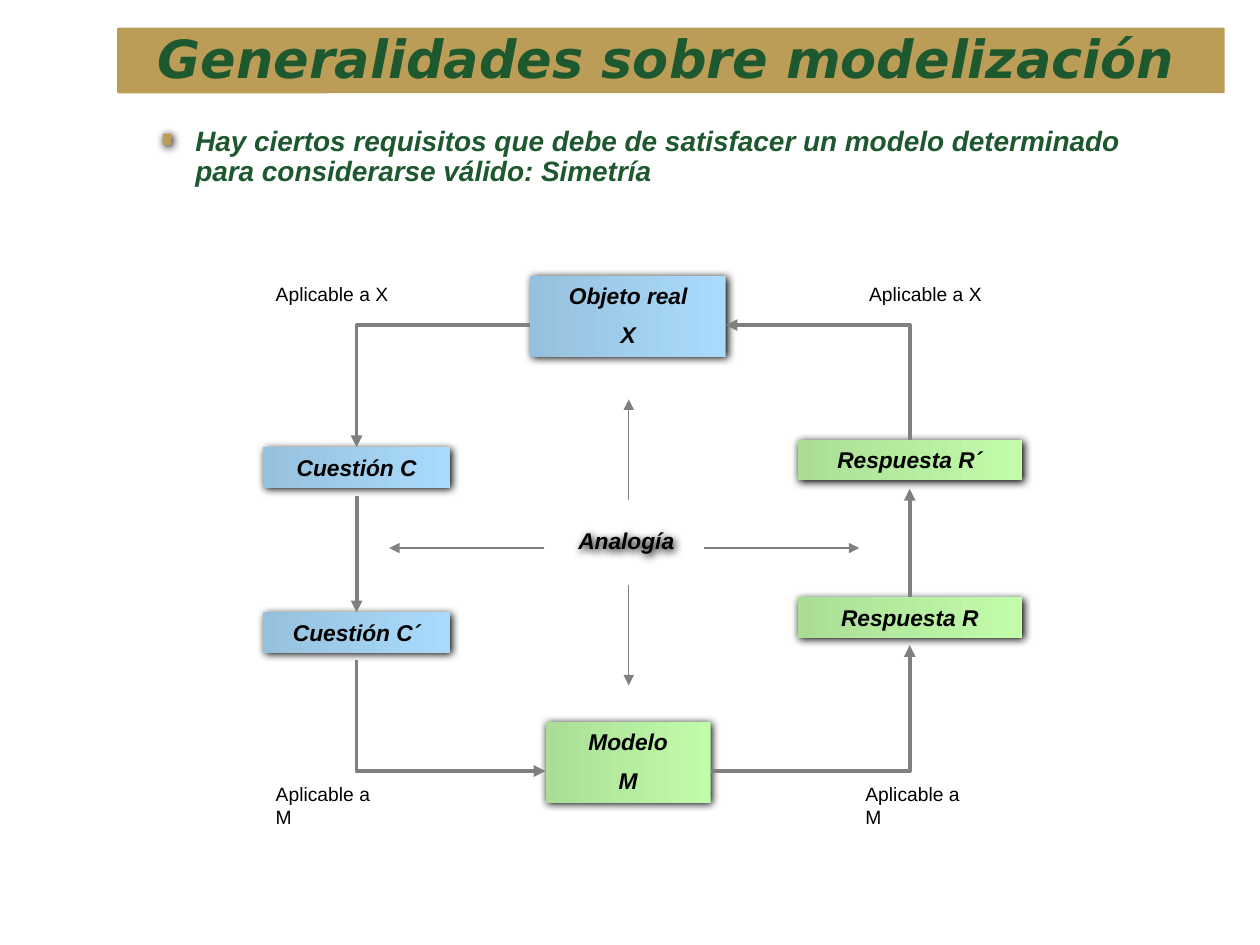
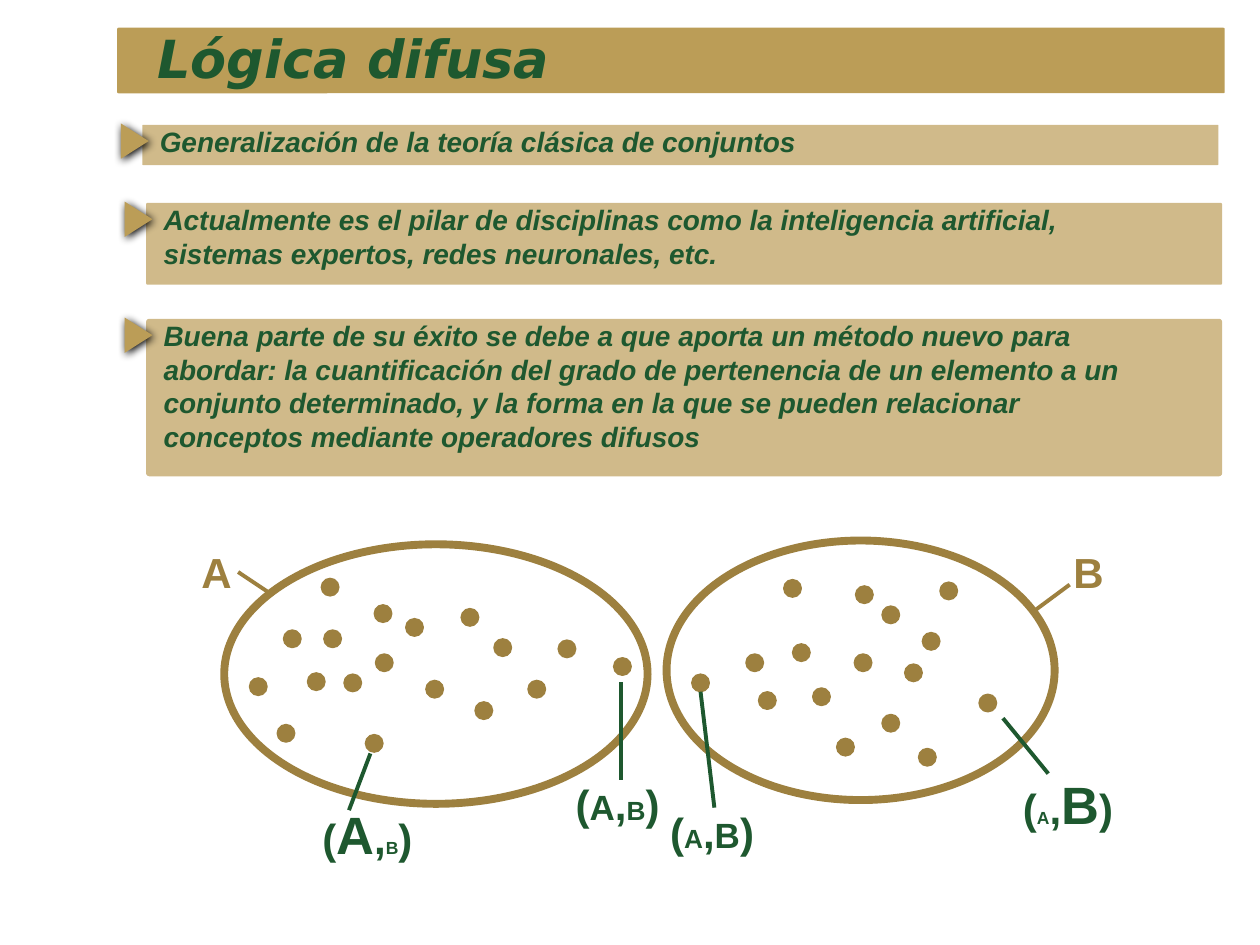
from lxml.etree import SubElement
from pptx import Presentation
from pptx.dml.color import RGBColor
from pptx.enum.shapes import MSO_CONNECTOR, MSO_SHAPE
from pptx.enum.text import MSO_ANCHOR, MSO_AUTO_SIZE, PP_ALIGN
from pptx.oxml.ns import qn
from pptx.util import Inches, Pt

GREEN, GOLD, SAND, BRONZE = "1E582F", "BB9D57", "D0BA8A", "9D803F"
GRAY, BLACK = "808080", "000000"
BLUES, LIMES = ("AADBFC", "96C1DE"), ("C1FCAA", "AADE96")

REQUIREMENT = ("Hay ciertos requisitos que debe de satisfacer un modelo determinado "
               "para considerarse válido: Simetría")
NODES = {
    "object": (["Objeto real", "X"], (4.21, 2.19, 1.55, 0.64), BLUES),
    "model": (["Modelo", "M"], (4.33, 5.73, 1.31, 0.64), LIMES),
    "question": (["Cuestión C"], (2.09, 3.55, 1.48, 0.32), BLUES),
    "question_m": (["Cuestión C´"], (2.09, 4.86, 1.48, 0.32), BLUES),
    "answer_x": (["Respuesta R´"], (6.33, 3.49, 1.78, 0.32), LIMES),
    "answer": (["Respuesta R"], (6.33, 4.74, 1.78, 0.32), LIMES),
}
APPLICABLE = [("Aplicable a X", 2.09, 2.19), ("Aplicable a X", 6.8, 2.19),
              ("Aplicable a M", 2.09, 6.16), ("Aplicable a M", 6.77, 6.16)]
ELBOWS = [((4.21, 2.58), (2.83, 3.55), "tailEnd"), ((5.76, 2.58), (7.22, 3.49), "headEnd"),
          ((4.33, 6.12), (2.83, 5.24), "headEnd"), ((5.64, 6.12), (7.22, 5.12), "tailEnd")]
ANALOGY_ARROWS = [((4.32, 4.35), (3.09, 4.35)), ((5.59, 4.35), (6.82, 4.35)),
                  ((4.99, 3.97), (4.99, 3.17)), ((4.99, 4.64), (4.99, 5.44))]

POINTS = [
    ("Generalización de la teoría clásica de conjuntos", 1.13, 0.99, 0.32),
    ("Actualmente es el pilar de disciplinas como la inteligencia artificial, "
     "sistemas expertos, redes neuronales, etc.", 1.16, 1.61, 0.65),
    ("Buena parte de su éxito se debe a que aporta un método nuevo para abordar: "
     "la cuantificación del grado de pertenencia de un elemento a un conjunto determinado, "
     "y la forma en la que se pueden relacionar conceptos mediante operadores difusos",
     1.16, 2.53, 1.25),
]
SETS = [
    ("A", (1.5, 4.29), (1.78, 4.32, 3.36, 2.06), ((1.89, 4.54), (2.13, 4.7)),
     [(3.22, 4.91), (2.73, 5.35), (3.38, 5.4), (2.98, 5.19), (2.55, 4.59), (2.25, 5),
      (2.97, 4.8), (2.57, 5), (2.44, 5.34), (1.98, 5.38), (2.9, 5.83), (2.2, 5.75),
      (3.92, 5.07), (4.19, 5.4), (3.77, 5.57), (3.66, 4.83), (4.87, 5.22), (4.43, 5.08)]),
    ("B", (8.42, 4.29), (5.29, 4.29, 3.08, 2.06), ((8.49, 4.64), (8.22, 4.84)),
     [(7.32, 5.02), (7, 5.67), (7.77, 5.51), (7.18, 5.27), (6.79, 4.65), (6.45, 5.46),
      (7.46, 4.62), (7, 4.81), (6.78, 5.19), (6.29, 5.11), (7.29, 5.94), (6.64, 5.86),
      (5.92, 5.19), (6.22, 4.6), (6.02, 5.49), (5.49, 5.35)]),
]
DEGREES = [
    (30, 10, (2.46, 6.32, 0.92, 0.6), ((2.77, 6.43), (2.94, 5.98))),
    (20, 15, (4.47, 6.13, 0.87, 0.5), ((4.93, 6.19), (4.93, 5.41))),
    (15, 20, (5.22, 6.35, 0.87, 0.5), ((5.67, 6.41), (5.56, 5.49))),
    (10, 30, (8.02, 6.08, 1.11, 0.6), ((8.32, 6.14), (7.96, 5.7))),
]


def rgb(color):
    """Turn a hex string into a colour."""
    return RGBColor.from_string(color)


def box(at):
    """Turn inches into lengths."""
    return [Inches(v) for v in at]


def write(tf, paras, size=16, color=GREEN, font="Arial", bold=True, italic=True,
          align=PP_ALIGN.LEFT, before=0, spacing=1.0):
    """Fill a frame with paragraphs, each a string or a list of (text, size) runs."""
    tf.word_wrap, tf.auto_size, tf.vertical_anchor = True, MSO_AUTO_SIZE.NONE, MSO_ANCHOR.TOP
    for i, para in enumerate(paras):
        p = tf.add_paragraph() if i else tf.paragraphs[0]
        p.alignment, p.line_spacing = align, spacing
        p.space_before = Pt(before if i else 0)
        for text, run_size in [(para, size)] if isinstance(para, str) else para:
            r = p.add_run()
            r.text = text
            r.font.name, r.font.size = font, Pt(run_size)
            r.font.bold, r.font.italic = bold, italic
            r.font.color.rgb = rgb(color)


def add_text(s, at, paras, **fmt):
    """Add a text box."""
    tb = s.shapes.add_textbox(*box(at))
    write(tb.text_frame, paras, **fmt)
    return tb


def add_shadow(sp):
    """Give a shape a soft black shadow to the lower right."""
    effects = sp.element.spPr.find(qn("a:effectLst"))
    if effects is None:
        effects = SubElement(sp.element.spPr, qn("a:effectLst"))
    shadow = SubElement(effects, qn("a:outerShdw"), blurRad="63500", dist="17780",
                        dir="2700000", algn="ctr", rotWithShape="0")
    SubElement(shadow, qn("a:srgbClr"), val=BLACK)


def add_shape(s, kind, at, fill=None, line=None, width=0.75, rotation=0, shadow=False):
    """Add a preset shape with a plain, gradient or empty fill."""
    sp = s.shapes.add_shape(kind, *box(at))
    sp.shadow.inherit = False
    sp.rotation = rotation
    if fill is None:
        sp.fill.background()
    elif isinstance(fill, str):
        sp.fill.solid()
        sp.fill.fore_color.rgb = rgb(fill)
    else:
        sp.fill.gradient()
        sp.fill.gradient_angle = 180
        for stop, color, position in zip(sp.fill.gradient_stops, fill, (0, 1)):
            stop.color.rgb, stop.position = rgb(color), position
    if line:
        sp.line.color.rgb, sp.line.width = rgb(line), Pt(width)
    else:
        sp.line.fill.background()
    if shadow:
        add_shadow(sp)
    return sp


def add_line(s, start, end, color=GRAY, width=2.25, arrow=None, elbow=False):
    """Add a straight or one-bend connector, with an arrow at headEnd or tailEnd."""
    kind = MSO_CONNECTOR.ELBOW if elbow else MSO_CONNECTOR.STRAIGHT
    c = s.shapes.add_connector(kind, *box(start + end))
    c.line.color.rgb, c.line.width = rgb(color), Pt(width)
    props = c.element.spPr
    if elbow:
        props.find(qn("a:prstGeom")).set("prst", "bentConnector2")
    if arrow:
        SubElement(props.find(qn("a:ln")), qn("a:" + arrow), type="triangle")
    SubElement(props, qn("a:effectLst"))
    return c


def place(ph, at):
    """Move a placeholder."""
    ph.left, ph.top, ph.width, ph.height = box(at)


def add_slide(prs, layout, title):
    """Add a slide with the shared title style."""
    s = prs.slides.add_slide(prs.slide_layouts[layout])
    place(s.shapes.title, (1.15, 0.16, 8.36, 0.6))
    write(s.shapes.title.text_frame, [title], size=30, font="DejaVu Sans")
    return s


def add_master_band(prs, s):
    """Put the title band on the slide master."""
    band = add_shape(s, MSO_SHAPE.ROUNDED_RECTANGLE, (0.93, 0.22, 8.79, 0.52), GOLD)
    band.adjustments[0] = 0.02
    band.element.nvSpPr.cNvPr.set("id", "99")
    prs.slide_master.shapes.element.insert(2, band.element)


def build_modelling(prs):
    """Build the modelling cycle."""
    s = add_slide(prs, 1, "Generalidades sobre modelización")
    add_master_band(prs, s)
    body = s.placeholders[1]
    place(body, (1.45, 0.96, 7.68, 0.58))
    props = body.text_frame.paragraphs[0]._p.get_or_add_pPr()
    props.set("marL", "0")
    props.set("indent", "0")
    SubElement(props, qn("a:buNone"))
    write(body.text_frame, [REQUIREMENT], spacing=0.9)
    add_shape(s, MSO_SHAPE.RECTANGLE, (1.28, 1.07, 0.09, 0.07), GOLD, rotation=90, shadow=True)

    nodes = {}
    for name, (lines, at, fill) in NODES.items():
        nodes[name] = add_shape(s, MSO_SHAPE.RECTANGLE, at, fill, shadow=True)
        write(nodes[name].text_frame, lines, size=13, color=BLACK,
              align=PP_ALIGN.CENTER, before=6.5)
    for text, x, y in APPLICABLE:
        add_text(s, (x, y, 1.1, 0.29), [text], size=11, color=BLACK, bold=False, italic=False)
    for start, end, arrow in ELBOWS:
        add_line(s, start, end, arrow=arrow, elbow=True)
    down = add_line(s, (2.83, 3.94), (2.83, 4.86), arrow="tailEnd")
    down.end_connect(nodes["question_m"], 0)
    up = add_line(s, (7.22, 4.74), (7.22, 3.88), arrow="tailEnd")
    up.begin_connect(nodes["answer"], 0)

    analogy = add_text(s, (4.09, 4.13, 1.76, 0.32), ["Analogía"], size=13, color=BLACK,
                       align=PP_ALIGN.CENTER)
    add_shadow(analogy)
    for start, end in ANALOGY_ARROWS:
        add_line(s, start, end, width=0.75, arrow="tailEnd")


def build_fuzzy(prs):
    """Build the fuzzy logic points and the two sets."""
    s = add_slide(prs, 5, "Lógica difusa")
    for text, x, y, h in POINTS:
        band = add_shape(s, MSO_SHAPE.ROUNDED_RECTANGLE, (x, y, 8.54, h), SAND)
        band.adjustments[0] = 0.02
        add_shape(s, MSO_SHAPE.ISOSCELES_TRIANGLE, (x - 0.2, y + 0.02, 0.28, 0.22), GOLD,
                  rotation=90, shadow=True)
        add_text(s, (x + 0.04, y - 0.05, 8.15, h), [text])
    for name, (x, y), outline, (start, end), dots in SETS:
        for dot in dots:
            add_shape(s, MSO_SHAPE.OVAL, dot + (0.14, 0.14), BRONZE, BRONZE)
        add_shape(s, MSO_SHAPE.OVAL, outline, line=BRONZE, width=4.5)
        add_text(s, (x, y, 0.44, 0.5), [name], size=24, color=BRONZE, italic=False)
        add_line(s, start, end, BRONZE)
    for a, b, at, (start, end) in DEGREES:
        runs = [("(", 24), ("A", a), (",", 24), ("B", b), (")", 24)]
        add_text(s, at, [runs], italic=False)
        add_line(s, start, end, GREEN)


def main():
    """Build and save the presentation."""
    prs = Presentation()
    prs.slide_width, prs.slide_height = Inches(10), Inches(7.5)
    build_modelling(prs)
    build_fuzzy(prs)
    prs.save("out.pptx")


if __name__ == "__main__":
    main()
